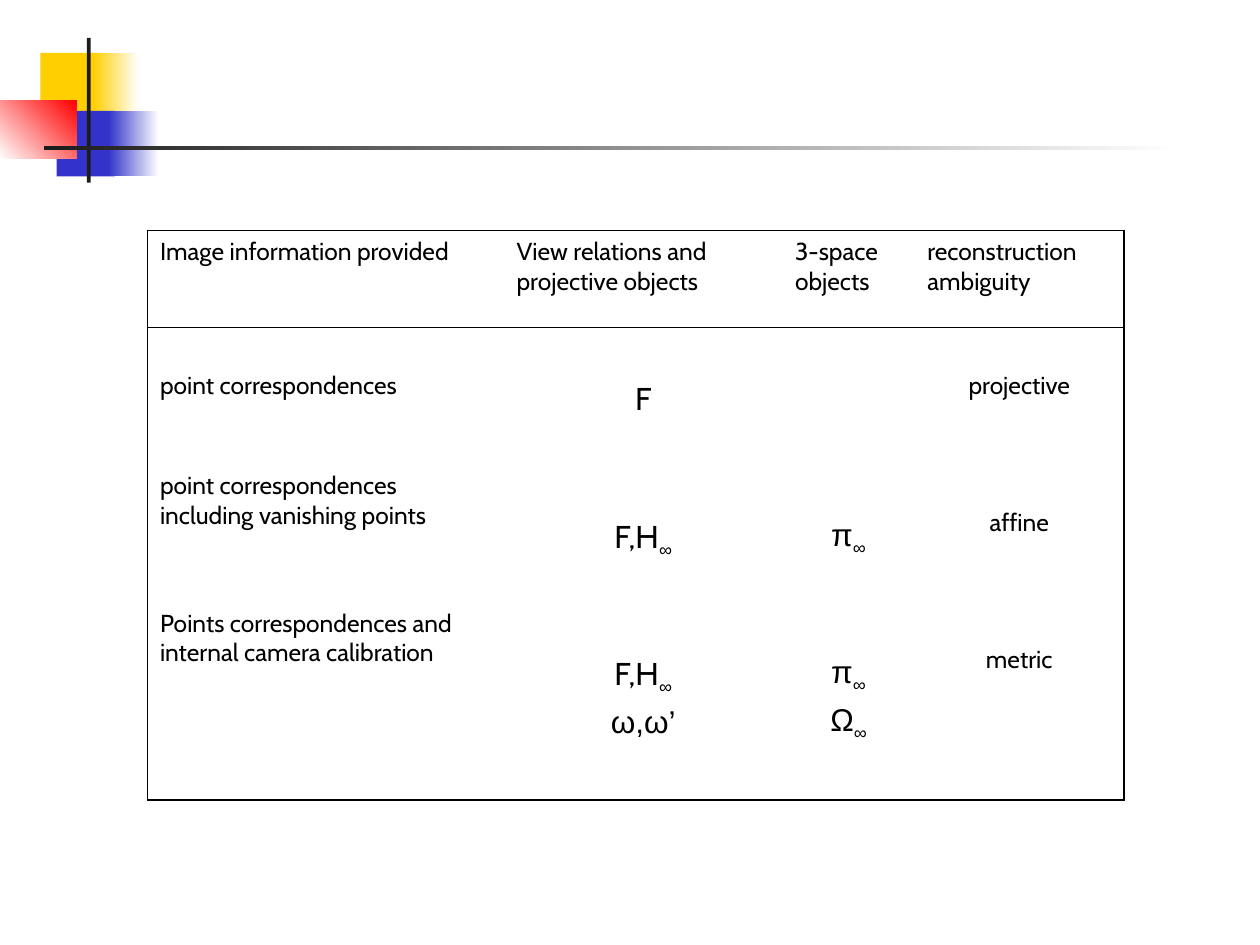
from dataclasses import dataclass

from pptx import Presentation
from pptx.dml.color import RGBColor
from pptx.enum.shapes import MSO_SHAPE
from pptx.enum.text import PP_ALIGN
from pptx.oxml import parse_xml
from pptx.oxml.ns import nsdecls
from pptx.util import Inches, Pt


@dataclass(frozen=True)
class Theme:
    yellow: str = "FFCF01"
    blue: str = "3333CC"
    red: str = "FF0000"
    dark: str = "1C1C1C"
    white: str = "FFFFFF"
    black: str = "000000"
    text_font: str = "Cabin"
    symbol_font: str = "Arial"
    text_size: float = 14
    symbol_size: float = 18
    frame: float = 1.08
    rule: float = 0.45


@dataclass(frozen=True)
class Block:
    left: float
    top: float
    width: float
    height: float
    color: str
    fade_to: str = ""
    angle: float = 0


@dataclass(frozen=True)
class Run:
    text: str
    font: str
    subscript: bool = False


@dataclass(frozen=True)
class Entry:
    lines: tuple[tuple[Run, ...], ...] = ()
    size: float = 14
    centered: bool = False
    top: float = 0.05


T = Theme()
INFINITY = Run("∞", T.symbol_font, subscript=True)
PLANE = (Run("π", T.symbol_font), INFINITY)
HOMOGRAPHY = (Run("F,H", T.text_font), INFINITY)


def label(text: str, **layout) -> Entry:
    return Entry(((Run(text, T.text_font),),), T.text_size, **layout)


def ambiguity(text: str) -> Entry:
    return label(text, centered=True, top=0.34)


def symbols(*lines: tuple[Run, ...]) -> Entry:
    return Entry(lines, T.symbol_size, centered=True, top=0.42)


BLOCKS = [
    Block(0.32, 0.42, 0.48, 0.52, T.yellow),
    Block(0.74, 0.42, 0.36, 0.52, T.yellow, T.white),
    Block(0.45, 0.88, 0.46, 0.52, T.blue),
    Block(0.86, 0.88, 0.4, 0.52, T.blue, T.white),
    Block(0, 0.8, 0.61, 0.46, T.white, T.red, 45),
    Block(0.69, 0.3, 0.03, 1.15, T.dark),
    Block(0.35, 1.16, 9, 0.03, T.dark, T.white),
]
COLUMNS = [2.83, 2.21, 1.05, 1.66]
HEIGHTS = [0.77, 1.09, 1.09, 1.57]
ROWS = [
    [label("Image information provided"),
     label("View relations and projective objects"),
     label("3-space objects"),
     label("reconstruction ambiguity")],
    [label("point correspondences", top=0.34),
     symbols((Run("F", T.text_font),)),
     Entry(),
     ambiguity("projective")],
    [label("point correspondences including vanishing points"),
     symbols(HOMOGRAPHY),
     symbols(PLANE),
     ambiguity("affine")],
    [label("Points correspondences and internal camera calibration"),
     symbols(HOMOGRAPHY, (Run("ω,ω’", T.symbol_font),)),
     symbols(PLANE, (Run("Ω", T.symbol_font), INFINITY)),
     ambiguity("metric")],
]


def draw_block(s, block: Block) -> None:
    sp = s.shapes.add_shape(
        MSO_SHAPE.RECTANGLE, Inches(block.left), Inches(block.top),
        Inches(block.width), Inches(block.height))
    sp.shadow.inherit = False
    sp.line.fill.background()
    if block.fade_to:
        sp.fill.gradient()
        sp.fill.gradient_angle = block.angle
        for stop, color in zip(sp.fill.gradient_stops, (block.color, block.fade_to)):
            stop.color.rgb = RGBColor.from_string(color)
    else:
        sp.fill.solid()
        sp.fill.fore_color.rgb = RGBColor.from_string(block.color)


def add_run(p, text: str, *, font: str, size: float, subscript: bool) -> None:
    r = p.add_run()
    r.text = text
    r.font.name = font
    r.font.size = Pt(size)
    r.font.color.rgb = RGBColor.from_string(T.black)
    if subscript:
        r.font._element.set("baseline", "-25000")


def set_borders(cell, widths: dict[str, float]) -> None:
    tc_pr = cell._tc.get_or_add_tcPr()
    for side in "LRTB":
        width = widths.get(side, 0)
        paint = (f'<a:solidFill><a:srgbClr val="{T.black}"/></a:solidFill>'
                 if width else "<a:noFill/>")
        tc_pr.append(parse_xml(
            f'<a:ln{side} {nsdecls("a")} w="{Pt(width)}">{paint}</a:ln{side}>'))


def fill_cell(cell, entry: Entry) -> None:
    cell.fill.background()
    cell.margin_left = cell.margin_right = Inches(0.1)
    cell.margin_top = Inches(entry.top)
    cell.margin_bottom = Inches(0.05)
    tf = cell.text_frame
    for i, line in enumerate(entry.lines):
        p = tf.add_paragraph() if i else tf.paragraphs[0]
        p.alignment = PP_ALIGN.CENTER if entry.centered else PP_ALIGN.LEFT
        if i:
            p.space_before = Pt(entry.size / 4)
        for run in line:
            add_run(p, run.text, font=run.font, size=entry.size,
                    subscript=run.subscript)


def draw_table(s, left: float, top: float) -> None:
    table = s.shapes.add_table(
        len(ROWS), len(COLUMNS), Inches(left), Inches(top),
        Inches(sum(COLUMNS)), Inches(sum(HEIGHTS))).table
    table.first_row = table.horz_banding = False
    for column, width in zip(table.columns, COLUMNS):
        column.width = Inches(width)
    last_row, last_col = len(ROWS) - 1, len(COLUMNS) - 1
    for i, entries in enumerate(ROWS):
        table.rows[i].height = Inches(HEIGHTS[i])
        for j, entry in enumerate(entries):
            cell = table.cell(i, j)
            set_borders(cell, {
                "L": T.frame if j == 0 else 0,
                "R": T.frame if j == last_col else 0,
                "T": {0: T.frame, 1: T.rule}.get(i, 0),
                "B": {0: T.rule, last_row: T.frame}.get(i, 0),
            })
            fill_cell(cell, entry)


def main() -> None:
    prs = Presentation()
    prs.slide_width, prs.slide_height = Inches(10), Inches(7.5)
    s = prs.slides.add_slide(prs.slide_layouts[6])
    for block in BLOCKS:
        draw_block(s, block)
    draw_table(s, 1.17, 1.83)
    prs.save("out.pptx")


if __name__ == "__main__":
    main()
